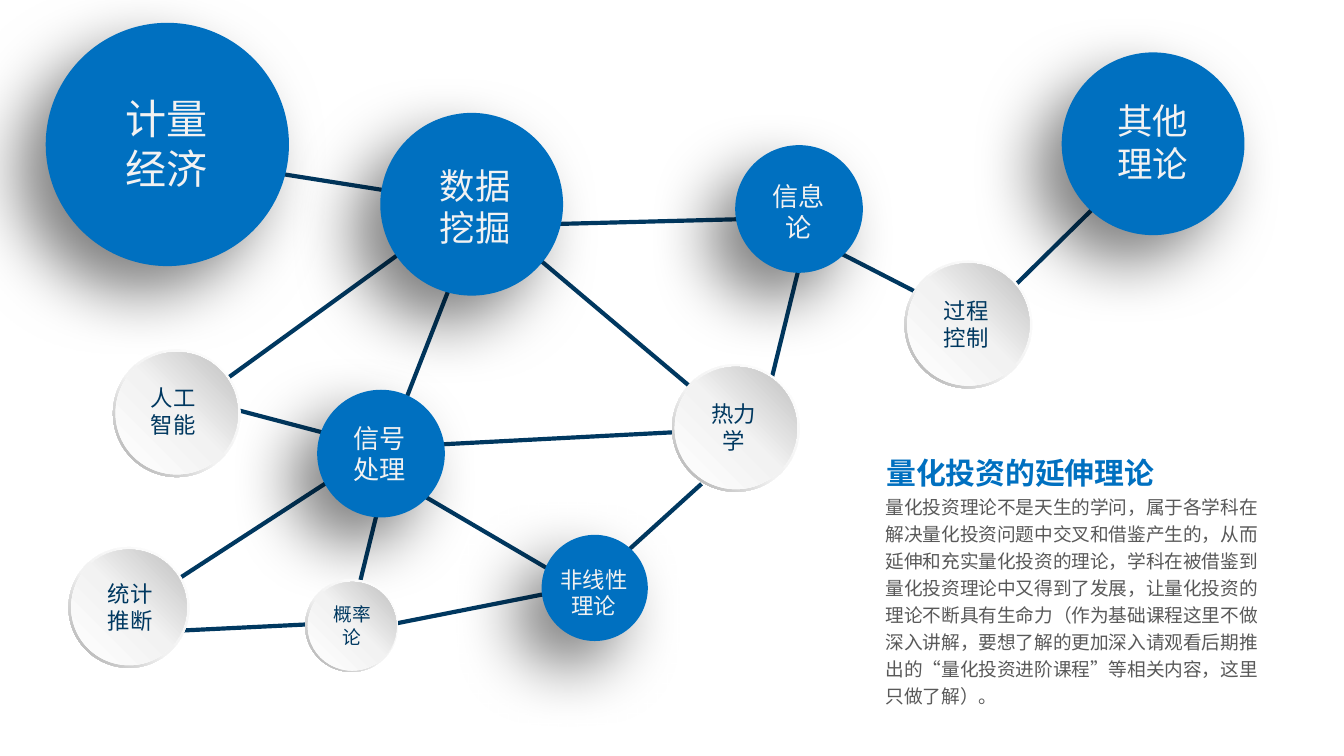
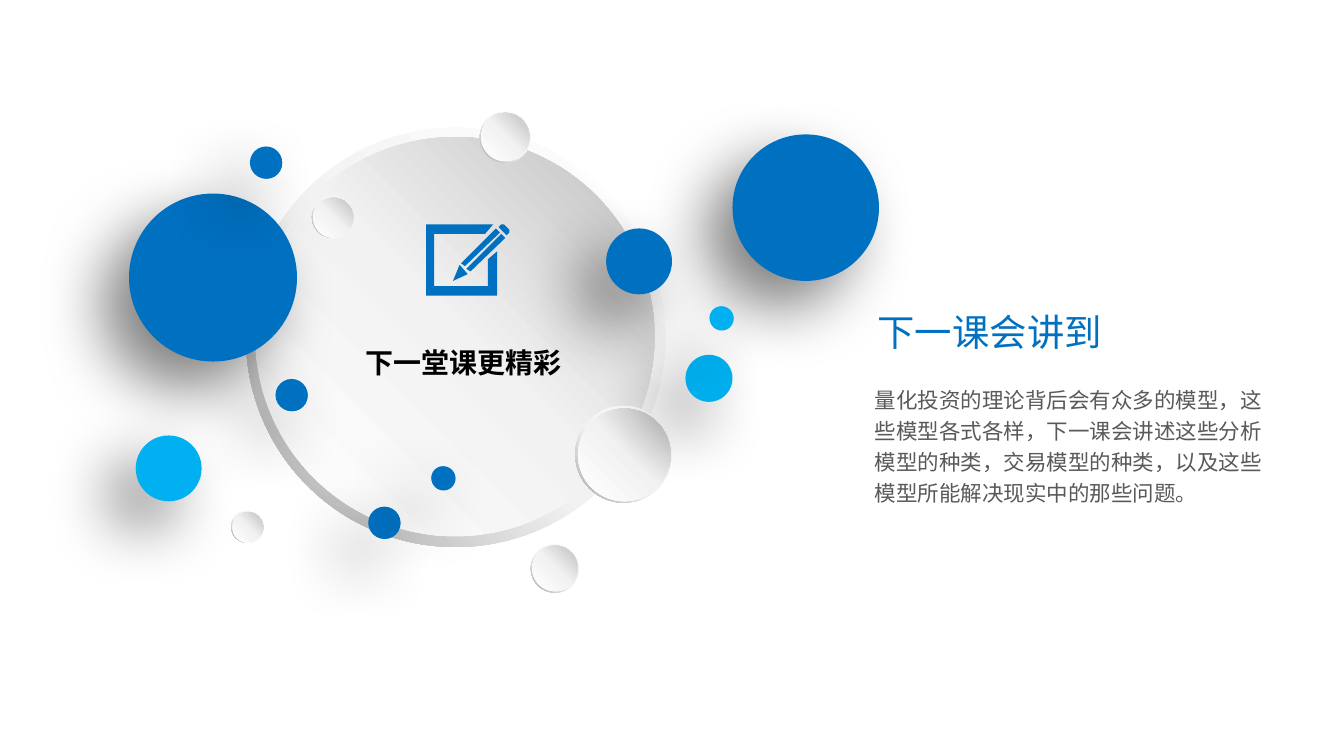
from math import ceil
from lxml import etree
from pptx import Presentation
from pptx.dml.color import RGBColor
from pptx.enum.shapes import MSO_CONNECTOR, MSO_SHAPE
from pptx.enum.text import MSO_ANCHOR, MSO_AUTO_SIZE, PP_ALIGN
from pptx.oxml import parse_xml
from pptx.oxml.ns import qn
from pptx.util import Pt

PX = 9144  # 100 px to the inch
FONT = "Noto Sans CJK SC"
NS = 'xmlns:a="http://schemas.openxmlformats.org/drawingml/2006/main"'
OVAL, RING = MSO_SHAPE.OVAL, MSO_SHAPE.DONUT
LINE, TOP, GROW = MSO_CONNECTOR.STRAIGHT, MSO_ANCHOR.TOP, MSO_AUTO_SIZE.SHAPE_TO_FIT_TEXT
LEFT, MID, RIGHT, JUST = PP_ALIGN.LEFT, PP_ALIGN.CENTER, PP_ALIGN.RIGHT, PP_ALIGN.JUSTIFY
COLOR = {"blue": "0070C0", "sky": "00B0F0", "navy": "003860",
         "pale": "F2F2F2", "gray": "595959", "black": "000000"}
RIM = [(0, "FFFFFF"), (55, "F2F2F2"), (100, "A6A6A6")]
FACE = [(0, "FFFFFF"), (51, "F2F2F2"), (100, "BFBFBF")]
SHADE = (f'<a:outerShdw {NS} blurRad="{Pt(35)}" dist="{Pt(20)}" dir="{135 * 60000}" '
         'algn="tr" rotWithShape="0"><a:srgbClr val="000000"><a:alpha val="50000"/>'
         '</a:srgbClr></a:outerShdw>')


def ball(slide, x, y, size, tone):
    """Group of a rim and a face: flat with a shadow, or gray and raised."""
    raised = tone == "gray"
    gap = round(size * 0.023)
    inner = round(size * 0.953)
    group = slide.shapes.add_group_shape()
    parts = [(RING if raised else OVAL, x, y, size, RIM, 135),
             (OVAL, x + gap, y + gap, inner, FACE, 315)]
    for kind, left, top, side, stops, angle in parts:
        disc = group.shapes.add_shape(kind, left * PX, top * PX, side * PX, side * PX)
        disc.shadow.inherit = False
        disc.line.fill.background()
        if raised:
            marks = "".join(f'<a:gs pos="{pos * 1000}"><a:srgbClr val="{shade}"/></a:gs>'
                            for pos, shade in stops)
            disc._element.spPr.insert(2, parse_xml(
                f'<a:gradFill {NS} rotWithShape="1"><a:gsLst>{marks}</a:gsLst>'
                f'<a:lin ang="{angle * 60000}" scaled="0"/></a:gradFill>'))
        else:
            disc.fill.solid()
            disc.fill.fore_color.rgb = RGBColor.from_string(COLOR[tone])
        if kind == RING:
            disc.adjustments[0] = 0.049
        elif not raised and stops is RIM:
            disc._element.spPr.find(qn("a:effectLst")).append(parse_xml(SHADE))


def write(box, place, text, size, tone, align=LEFT, bold=False,
          inset=(10, 5), space=None, wrap=True):
    """Place a text box or title and format its text."""
    box.left, box.top, box.width, box.height = [v * PX for v in place]
    frame = box.text_frame
    frame.text = text
    frame.word_wrap = wrap
    frame.auto_size = GROW
    frame.vertical_anchor = TOP
    frame.margin_left = frame.margin_right = inset[0] * PX
    frame.margin_top = frame.margin_bottom = inset[1] * PX
    for par in frame.paragraphs:
        par.alignment = align
        if space:
            par.line_spacing = space
        for run in par.runs:
            run.font.size = Pt(size)
            run.font.bold = bold
            run.font.color.rgb = RGBColor.from_string(COLOR[tone])
            run.font.name = FONT
            east = etree.SubElement(run._r.get_or_add_rPr(), qn("a:ea"))
            east.set("typeface", FONT)


# A 16:9 deck, ten inches wide
deck = Presentation()
deck.slide_width = 1000 * PX
deck.slide_height = deck.slide_width * 9 // 16
layout = deck.slide_layouts[5]

# Slide 1: network of theories
net = deck.slides.add_slide(layout)
links = [
    (363, 168, 594, 162), (374, 170, 553, 321), (347, 182, 288, 333),
    (260, 465, 290, 343), (300, 360, 438, 441), (283, 333, 533, 320),
    (718, 249, 843, 126), (605, 178, 718, 236), (97, 454, 271, 341),
    (118, 470, 262, 463), (161, 301, 275, 331), (330, 165, 134, 307),
    (156, 121, 352, 152), (564, 323, 594, 201), (447, 428, 522, 360),
    (279, 467, 446, 434),
]
for ends in links:
    link = net.shapes.add_connector(LINE, *[v * PX for v in ends])
    link.line.color.rgb = RGBColor.from_string(COLOR["navy"])
    link.line.width = Pt(2.25)
    etree.SubElement(link._element.spPr, qn("a:effectLst"))

# Balls: left, top, size, tone, then label, its left, top and text size
nodes = [
    (34, 17, 181, "blue", "计量\n经济", 83, 65, 22),
    (236, 290, 95, "blue", "信号\n处理", 253, 309, 14),
    (283, 84, 136, "blue", "数据\n挖掘", 317, 117, 19),
    (227, 431, 69, "gray", "概率\n论", 238, 444, 10),
    (51, 407, 90, "gray", "统计\n推断", 70, 427, 12),
    (84, 260, 95, "gray", "人工\n智能", 102, 281, 12),
    (403, 398, 79, "blue", "非线性\n理论", 407, 416, 12),
    (500, 271, 95, "gray", "热力\n学", 519, 293, 12),
    (547, 108, 95, "blue", "信息\n论", 565, 129, 14),
    (673, 194, 95, "gray", "过程\n控制", 692, 216, 12),
    (790, 39, 136, "blue", "其他\n理论", 821, 69, 19),
]
for x, y, size, tone, label, left, top, points in nodes:
    ball(net, x, y, size, tone)
    wide = ceil(20 + label.index("\n") * points / 0.72)
    high = ceil(10 + points / 0.3)
    write(net.shapes.add_textbox(0, 0, 0, 0), (left, top, wide, high), label, points,
          "navy" if tone == "gray" else "pale", MID, wrap=False)

write(net.shapes.title, (614, 333, 254, 36), "量化投资的延伸理论", 16, "blue",
      RIGHT, bold=True, inset=(9, 5))
write(net.shapes.add_textbox(0, 0, 0, 0), (652, 362, 300, 187),
      "量化投资理论不是天生的学问，属于各学科在解决量化投资问题中交叉和借鉴产生的，"
      "从而延伸和充实量化投资的理论，学科在被借鉴到量化投资理论中又得到了发展，"
      "让量化投资的理论不断具有生命力（作为基础课程这里不做深入讲解，"
      "要想了解的更加深入请观看后期推出的“量化投资进阶课程”等相关内容，这里只做了解）。",
      10, "gray", inset=(7, 4), space=1.2)

# Slide 2: next lesson
after = deck.slides.add_slide(layout)
for x, y, size in [(183, 95, 312), (428, 302, 72), (232, 146, 31),
                   (395, 405, 36), (357, 83, 38), (172, 380, 24)]:
    ball(after, x, y, size, "gray")

# Pencil and paper icon
icon = after.shapes.add_group_shape()
strokes = [
    [(348, 204), (342, 197), (337, 209)],
    [(369, 170), (343, 196), (346, 198), (372, 173)],
    [(347, 200), (350, 202), (376, 177), (373, 174)],
    [(377, 169), (375, 167), (373, 167), (371, 169), (377, 175), (379, 173), (379, 171)],
    [(363, 213), (323, 213), (323, 174), (361, 174), (367, 167), (317, 167),
     (317, 220), (370, 220), (370, 187), (363, 193)],
]
for dots in strokes:
    pen = icon.shapes.build_freeform(*dots[0], scale=PX)
    pen.add_line_segments(dots[1:], close=True)
    part = pen.convert_to_shape()
    part.shadow.inherit = False
    part.fill.solid()
    part.fill.fore_color.rgb = RGBColor.from_string(COLOR["blue"])
    part.line.fill.background()

# Texts
write(after.shapes.add_textbox(0, 0, 0, 0), (262, 240, 172, 44), "下一堂课更精彩",
      15, "black", JUST, bold=True, space=1.5)
write(after.shapes.title, (643, 225, 300, 44), "下一课会讲到", 20, "blue")
write(after.shapes.add_textbox(0, 0, 0, 0), (644, 280, 306, 98),
      "量化投资的理论背后会有众多的模型，这些模型各式各样，下一课会讲述这些分析模型的种类，"
      "交易模型的种类，以及这些模型所能解决现实中的那些问题。",
      11.5, "gray", inset=(7, 4), space=1.2)

# Floating balls
for x, y, size, tone in [
    (545, 100, 109, "blue"), (96, 144, 125, "blue"), (101, 324, 49, "sky"),
    (205, 282, 24, "blue"), (186, 109, 24, "blue"), (274, 377, 24, "blue"),
    (321, 347, 18, "blue"), (451, 170, 49, "blue"), (510, 264, 35, "sky"),
    (528, 228, 18, "sky"),
]:
    ball(after, x, y, size, tone)

deck.save("out.pptx")
